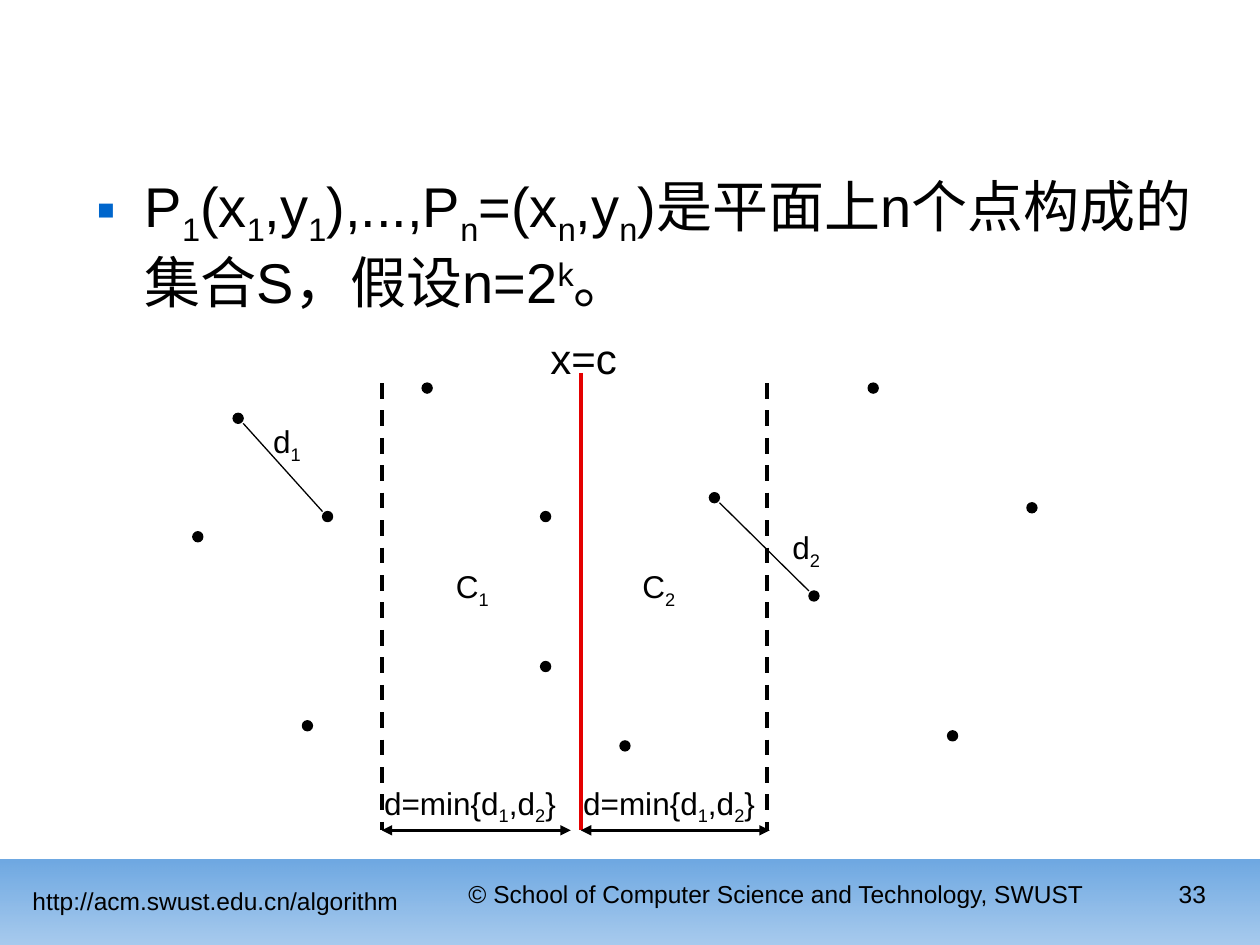
from dataclasses import dataclass
from lxml import etree
from pptx import Presentation
from pptx import util as u
from pptx.dml import color
from pptx.enum import dml, shapes, text
from pptx.oxml import ns


@dataclass(frozen=True)
class Theme:
    font: str = "Arial"
    ink: str = "000000"
    blue: str = "0066CC"
    sky: str = "5D9EDF"
    red: str = "E40000"
    body: int = 32
    axis: int = 24
    label: int = 18
    foot: int = 14


@dataclass(frozen=True)
class Box:
    x: float
    y: float
    w: float
    h: float

    def sub(self, x, y, w, h):
        return Box(self.x + x, self.y + y, w, h)

    def dims(self):
        return [u.Inches(v) for v in (self.x, self.y, self.w, self.h)]


T = Theme()
BASE = {"_": "-25000", "^": "30000"}
ALIGN = text.PP_ALIGN


def rgb(code):
    return color.RGBColor.from_string(code)


def node(host, tag, **attrs):
    return etree.SubElement(host, ns.qn(tag), attrs)


def label(slide, box, parts, size, align=ALIGN.LEFT, wrap=True):
    frame = slide.shapes.add_textbox(*box.dims()).text_frame
    frame.word_wrap = wrap
    para = frame.paragraphs[0]
    para.alignment = align
    for part in parts:
        mark = BASE.get(part[0])
        run = para.add_run()
        run.text = part[1:] if mark else part
        run.font.name = T.font
        run.font.size = u.Pt(size)
        run.font.color.rgb = rgb(T.ink)
        if mark:
            run.font._element.set("baseline", mark)
    return para


def rule(slide, box, start, end, width, tint=T.ink, dash=False, arrows=False):
    ends = [u.Inches(v) for x, y in (start, end) for v in (box.x + x, box.y + y)]
    line = slide.shapes.add_connector(shapes.MSO_CONNECTOR.STRAIGHT, *ends)
    line.line.color.rgb = rgb(tint)
    line.line.width = u.Pt(width)
    if dash:
        line.line.dash_style = dml.MSO_LINE.DASH
    if arrows:
        for tag in ("a:headEnd", "a:tailEnd"):
            node(line.line._get_or_add_ln(), tag, type="triangle")
    node(line._element.spPr, "a:effectLst")


def footer(slide, box):
    band = slide.shapes.add_shape(shapes.MSO_SHAPE.RECTANGLE, *box.dims())
    band.shadow.inherit = False
    band.line.fill.background()
    band.fill.gradient()
    band.fill.gradient_angle = 270
    for stop, tint, alpha in zip(band.fill.gradient_stops, (T.blue, T.sky), ("57000", "54000")):
        stop.color.rgb = rgb(tint)
        node(stop._gs.find(ns.qn("a:srgbClr")), "a:alpha", val=alpha)
    for x, y, w, words, align in (
        (0.16, 0.16, 3.36, "http://acm.swust.edu.cn/algorithm", ALIGN.LEFT),
        (3.59, 0.11, 5.19, "© School of Computer Science and Technology, SWUST ", ALIGN.CENTER),
        (9.02, 0.11, 0.65, "33", ALIGN.RIGHT),
    ):
        label(slide, box.sub(x, y, w, 0.52), [words], T.foot, align)


def problem(slide, box):
    parts = ["P", "_1", "(x", "_1", ",y", "_1", "),...,P", "_n", "=(x", "_n", ",y", "_n",
             ")是平面上n个点构成的集合S，假设n=2", "^k", "。"]
    para = label(slide, box, parts, T.body)
    props = para._p.get_or_add_pPr()
    props.set("marL", str(u.Inches(0.38)))
    props.set("indent", str(-u.Inches(0.38)))
    node(node(props, "a:buClr"), "a:srgbClr", val=T.blue)
    node(props, "a:buFont", typeface=T.font)
    node(props, "a:buChar", char="▪")


def plot(slide, box):
    left, mid, right = 1.53, 3.11, 4.59
    top, base, span, dot = 0.54, 4.09, 1.5, 0.08
    pairs = (
        ((0.35, 0.78), (1.06, 1.56), "_1", (0.57, 0.8)),
        ((4.13, 1.41), (4.92, 2.19), "_2", (4.69, 1.64)),
    )
    others = [(1.85, top), (2.79, 1.56), (2.79, 2.75), (0.03, 1.72), (0.9, 3.22),
              (3.42, 3.38), (5.39, top), (6.02, 3.3), (6.65, 1.49)]

    for x in (left, right):
        rule(slide, box, (x, top), (x, base), 2.25, dash=True)
    for x, y in others + [spot for pair in pairs for spot in pair[:2]]:
        point = slide.shapes.add_shape(shapes.MSO_SHAPE.OVAL, *box.sub(x, y, dot, dot).dims())
        point.shadow.inherit = False
        point.fill.solid()
        point.fill.fore_color.rgb = rgb(T.ink)
        point.line.color.rgb = rgb(T.ink)
        point.line.width = u.Pt(0.75)

    rule(slide, box, (mid, 0.46), (mid, base), 2.25, T.red)
    label(slide, box.sub(2.77, 0.09, 0.73, 0.5), ["x=c"], T.axis, wrap=False)
    for (x, y), end, index, spot in pairs:
        rule(slide, box, (x + dot, y + dot), end, 0.75)
        label(slide, box.sub(*spot, 0.42, 0.44), ["d", index], T.label, wrap=False)
    for x in (left, mid):
        rule(slide, box, (x, base), (x + span, base), 1.5, arrows=True)
        label(slide, box.sub(x - 0.08, 3.67, 1.73, 0.44),
              ["d=min{d", "_1", ",d", "_2", "}"], T.label)
    for x, index in ((2.02, "_1"), (3.5, "_2")):
        label(slide, box.sub(x, 1.95, 0.63, 0.44), ["C", index], T.label)


def main():
    deck = Presentation()
    deck.slide_width, deck.slide_height = u.Inches(10), u.Inches(7.5)
    slide = deck.slides.add_slide(deck.slide_layouts[6])
    footer(slide, Box(0, 6.82, 10, 0.68))
    problem(slide, Box(0.67, 1.31, 8.92, 4.92))
    plot(slide, Box(1.5, 2.5, 6.75, 4.1))
    deck.save("out.pptx")


if __name__ == "__main__":
    main()
